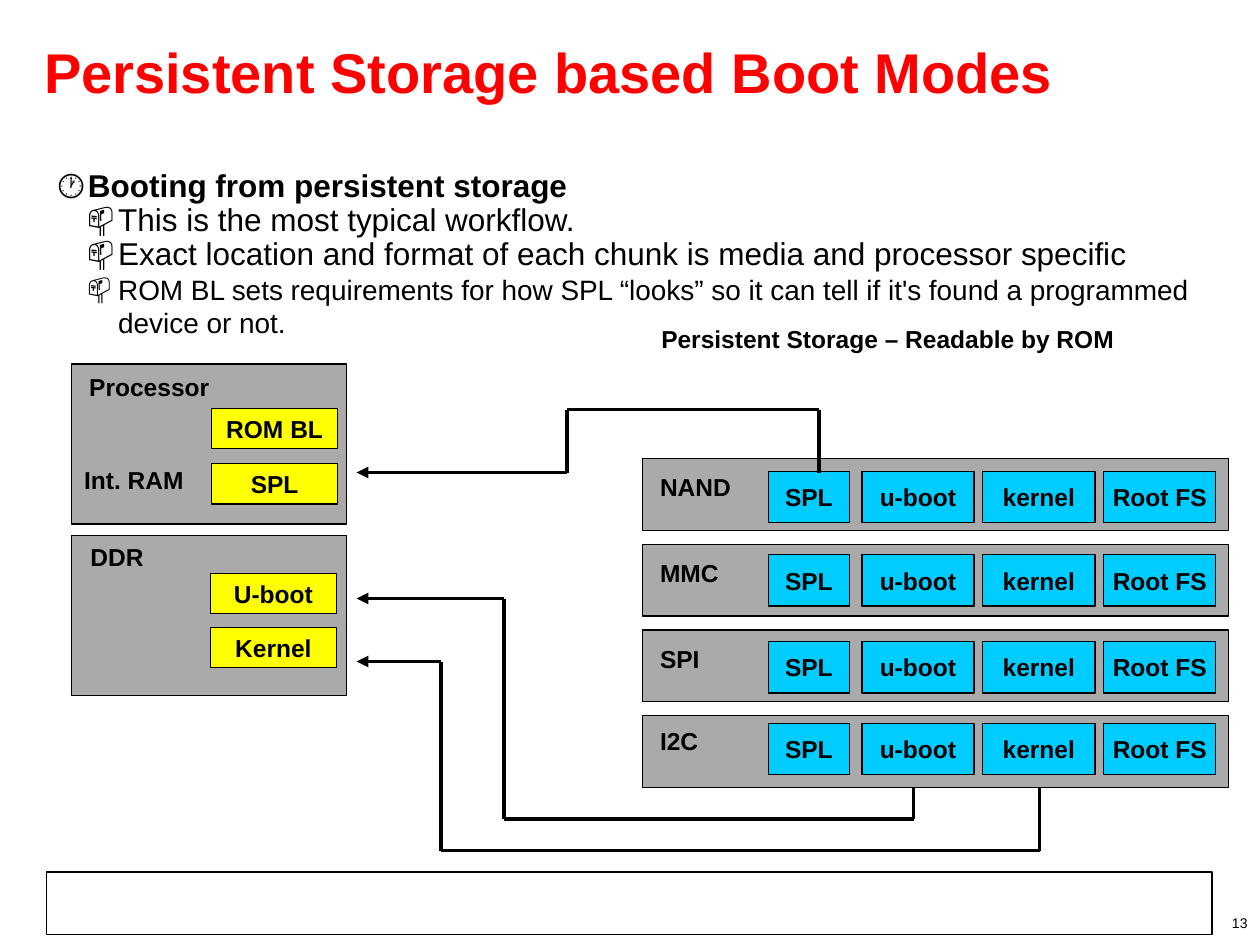
from lxml import etree
from pptx import Presentation
from pptx.dml.color import RGBColor
from pptx.enum.shapes import MSO_CONNECTOR, MSO_SHAPE
from pptx.enum.text import MSO_ANCHOR, MSO_AUTO_SIZE, PP_ALIGN
from pptx.oxml.ns import qn
from pptx.util import Inches, Pt

RECTANGLE = MSO_SHAPE.RECTANGLE
STRAIGHT = MSO_CONNECTOR.STRAIGHT
LEFT, CENTER, RIGHT = PP_ALIGN.LEFT, PP_ALIGN.CENTER, PP_ALIGN.RIGHT
TOP, MIDDLE = MSO_ANCHOR.TOP, MSO_ANCHOR.MIDDLE
NO_AUTOFIT = MSO_AUTO_SIZE.NONE

BLACK, RED, GRAY = "000000", "FF0000", "AAAAAA"
CYAN, YELLOW = "00CCFF", "FFFF00"


def color(hex_value):
    return RGBColor.from_string(hex_value)


def write(paragraph, text, size=14, bold=True, fill=BLACK, align=LEFT, spacing=None):
    paragraph.alignment = align
    if spacing:
        paragraph.line_spacing = spacing
    run = paragraph.add_run()
    run.text = text
    run.font.name = "Arial"
    run.font.size = Pt(size)
    run.font.bold = bold
    run.font.color.rgb = color(fill)


def add_bullet(paragraph, symbol, level):
    paragraph.level = level
    properties = paragraph._p.get_or_add_pPr()
    hanging = Inches(0.24)
    properties.set("marL", str(hanging * (level + 1)))
    properties.set("indent", str(-hanging))
    etree.SubElement(properties, qn("a:buFont"), typeface="Arial")
    etree.SubElement(properties, qn("a:buChar"), char=symbol)


class BootSlide:
    line_color = BLACK
    border_width = 0.75

    def __init__(self, slide):
        self.slide = slide
        self.shapes = slide.shapes

    def title(self, text, left, top, width, height):
        heading = self.shapes.title
        heading.left, heading.top = Inches(left), Inches(top)
        heading.width, heading.height = Inches(width), Inches(height)
        frame = heading.text_frame
        frame.auto_size = NO_AUTOFIT
        frame.vertical_anchor = MIDDLE
        write(frame.paragraphs[0], text, size=32, fill=RED, spacing=0.85)

    def text_frame(self, left, top, width, height):
        frame = self.shapes.add_textbox(
            Inches(left), Inches(top), Inches(width), Inches(height)
        ).text_frame
        frame.word_wrap = True
        frame.vertical_anchor = TOP
        return frame

    def label(self, text, left, top, width, height=0.34, **style):
        frame = self.text_frame(left, top, width, height)
        write(frame.paragraphs[0], text, **style)

    def bullets(self, items, left, top, width, height):
        frame = self.text_frame(left, top, width, height)
        for index, (text, symbol, level, style) in enumerate(items):
            paragraph = frame.add_paragraph() if index else frame.paragraphs[0]
            write(paragraph, text, **style)
            add_bullet(paragraph, symbol, level)

    def box(self, left, top, width, height, fill=None, text=None):
        rectangle = self.shapes.add_shape(
            RECTANGLE, Inches(left), Inches(top), Inches(width), Inches(height)
        )
        rectangle.shadow.inherit = False
        if fill:
            rectangle.fill.solid()
            rectangle.fill.fore_color.rgb = color(fill)
        else:
            rectangle.fill.background()
        rectangle.line.color.rgb = color(self.line_color)
        rectangle.line.width = Pt(self.border_width)
        if text:
            frame = rectangle.text_frame
            frame.margin_left = frame.margin_right = 0
            frame.margin_top = frame.margin_bottom = 0
            frame.word_wrap = False
            frame.vertical_anchor = MIDDLE
            write(frame.paragraphs[0], text, align=CENTER)

    def line(self, start, end, arrow=False):
        segment = self.shapes.add_connector(
            STRAIGHT, *(Inches(value) for value in (*start, *end))
        )
        segment.line.color.rgb = color(self.line_color)
        segment.line.width = Pt(2.25 if arrow else 2.15)
        if arrow:
            etree.SubElement(segment.line._get_or_add_ln(), qn("a:tailEnd"), type="triangle")
        etree.SubElement(segment._element.spPr, qn("a:effectLst"))

    def route(self, points):
        last = len(points) - 2
        for index, (start, end) in enumerate(zip(points, points[1:])):
            self.line(start, end, arrow=index == last)


def main():
    presentation = Presentation()
    presentation.slide_width, presentation.slide_height = Inches(10), Inches(7.5)
    boot = BootSlide(presentation.slides.add_slide(presentation.slide_layouts[5]))

    boot.box(0.37, 6.92, 9.25, 0.5)
    boot.label("13", 7.67, 7.21, 2.33, 0.23, size=8, bold=False, align=RIGHT)
    boot.title("Persistent Storage based Boot Modes", 0.25, -0.07, 9.25, 1.35)

    detail = {"size": 18, "bold": False, "spacing": 0.9}
    boot.bullets(
        [
            ("Booting from persistent storage", "🕐", 0, {"size": 18, "spacing": 0.9}),
            ("This is the most typical workflow.", "📫", 1, detail),
            ("Exact location and format of each chunk is media and processor specific",
             "📫", 1, detail),
            ("ROM BL sets requirements for how SPL “looks” so it can tell if it's found "
             "a programmed device or not.", "📫", 1, {"size": 16, "bold": False}),
        ],
        0.36, 1.3, 9.26, 5.13,
    )

    boot.label("Persistent Storage – Readable by ROM", 5.15, 2.52, 4)
    media = [("NAND", 3.7, 3.74), ("MMC", 4.38, 4.4), ("SPI", 5.06, 5.09), ("I2C", 5.71, 5.74)]
    chunks = [("SPL", 6.1, 0.64), ("u-boot", 6.84, 0.89),
              ("kernel", 7.8, 0.89), ("Root FS", 8.76, 0.89)]
    for row, (medium, label_top, chunk_top) in enumerate(media):
        boot.box(5.1, 3.64 + 0.68 * row, 4.65, 0.57, GRAY)
        boot.label(medium, 5.14, label_top, 0.9)
        for chunk, left, width in chunks:
            boot.box(left, chunk_top, width, 0.41, CYAN, chunk)

    memories = [
        (2.89, [("Processor", 0.61, 2.9, 1.3), ("Int. RAM", 0.57, 3.64, 1.1)],
         [("ROM BL", 1.68, 3.24), ("SPL", 1.68, 3.68)]),
        (4.25, [("DDR", 0.62, 4.25, 0.8)],
         [("U-boot", 1.67, 4.55), ("Kernel", 1.67, 4.98)]),
    ]
    for top, labels, stages in memories:
        boot.box(0.57, top, 2.18, 1.27, GRAY)
        for text, left, label_top, width in labels:
            boot.label(text, left, label_top, width)
        for stage, left, stage_top in stages:
            boot.box(left, stage_top, 1, 0.32, YELLOW, stage)

    spl_route = [(6.5, 3.75), (6.5, 3.25), (4.5, 3.25), (4.5, 3.75), (2.83, 3.75)]
    uboot_route = [(7.25, 6.25), (7.25, 6.5), (4, 6.5), (4, 4.75), (2.83, 4.75)]
    kernel_route = [(8.25, 6.25), (8.25, 6.75), (3.5, 6.75), (3.5, 5.25), (2.83, 5.25)]
    for points in (spl_route, uboot_route, kernel_route):
        boot.route(points)

    presentation.save("out.pptx")


if __name__ == "__main__":
    main()
